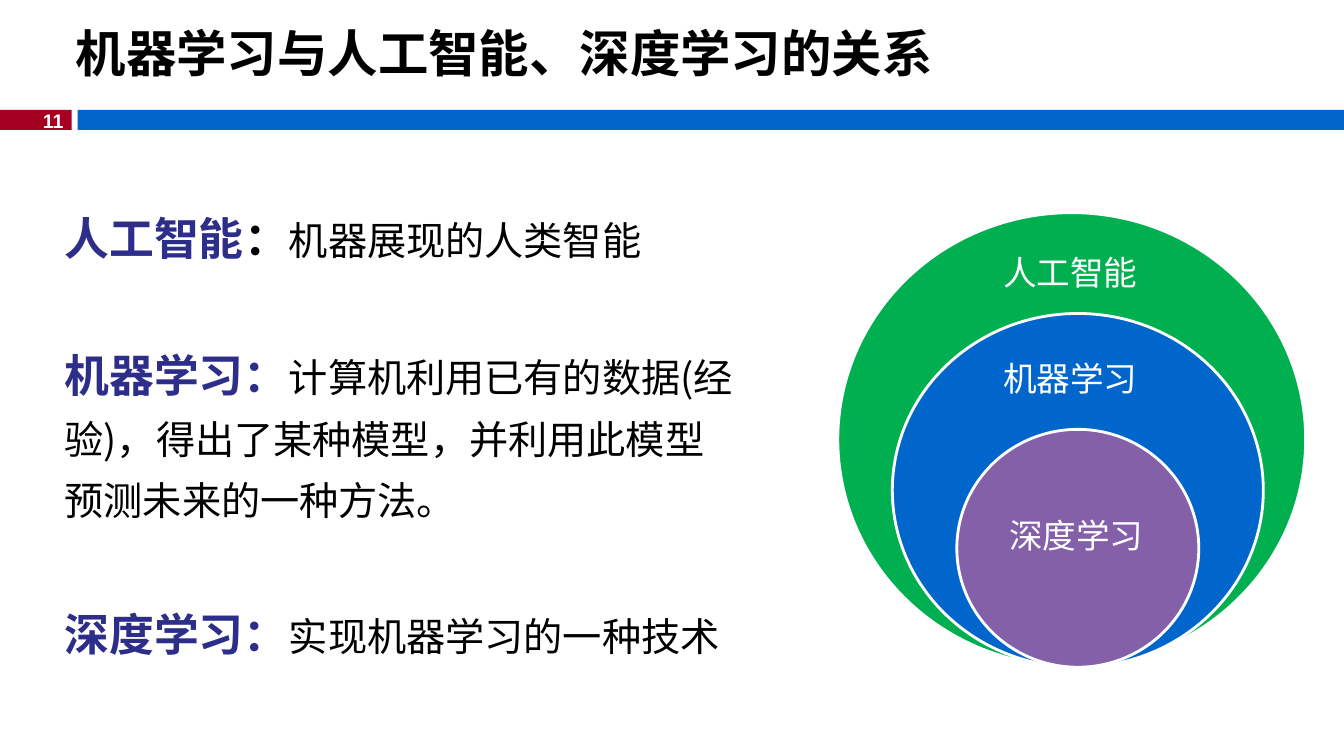
from dataclasses import dataclass

from lxml.etree import SubElement
from pptx import Presentation
from pptx.dml.color import RGBColor
from pptx.enum.shapes import MSO_SHAPE as Shape
from pptx.enum.text import MSO_ANCHOR as Anchor, MSO_AUTO_SIZE as AutoSize, PP_ALIGN as Align
from pptx.oxml.ns import qn
from pptx.util import Inches, Pt

COLORS = {
    "white": "FFFFFF", "black": "000000", "red": "A50021", "blue": "0066CC",
    "navy": "2D2D8A", "green": "00B050", "purple": "8460A8",
}
LATIN, CJK = "Arial", "Noto Sans CJK SC"


@dataclass
class Box:
    left: float
    top: float
    width: float
    height: float


@dataclass
class Bar:
    box: Box
    color: str


@dataclass
class Field:
    name: str
    circle: Box
    color: str
    label: Box


@dataclass
class Definition:
    term: str
    colon_color: str
    meaning: str


BARS = [
    Bar(Box(0, 1.09, 0.71, 0.2), "red"),
    Bar(Box(0.77, 1.09, 12.56, 0.2), "blue"),
]
FIELDS = [
    Field("人工智能", Box(8.31, 2.11, 4.64, 4.5), "green", Box(9.85, 2.45, 1.55, 0.5)),
    Field("机器学习", Box(8.85, 3.11, 3.68, 3.51), "blue", Box(9.85, 3.5, 1.55, 0.5)),
    Field("深度学习", Box(9.49, 4.26, 2.4, 2.36), "purple", Box(9.91, 5.06, 1.55, 0.5)),
]
DEFINITIONS = [
    Definition("人工智能", "black", "机器展现的人类智能"),
    Definition("机器学习", "navy", "计算机利用已有的数据(经验)，得出了某种模型，并利用此模型预测未来的一种方法。"),
    Definition("深度学习", "navy", "实现机器学习的一种技术"),
]


def rgb(color: str) -> RGBColor:
    """Look up a named colour."""
    return RGBColor.from_string(COLORS[color])


def extent(box: Box) -> list:
    """Convert a box to slide lengths."""
    return [Inches(v) for v in (box.left, box.top, box.width, box.height)]


def place(holder, box: Box) -> None:
    """Move a placeholder to a box."""
    holder.left, holder.top, holder.width, holder.height = extent(box)


def style(run, size: int, color: str, bold: bool = False, face: str = CJK) -> None:
    """Format one run, with the CJK face for East Asian text."""
    run.font.size, run.font.bold, run.font.name = Pt(size), bold, face
    run.font.color.rgb = rgb(color)
    SubElement(run.font._element, qn("a:ea")).set("typeface", CJK)


def add_filled(slide, kind, box: Box, color: str):
    """Add a flat shape without outline."""
    shape = slide.shapes.add_shape(kind, *extent(box))
    shape.shadow.inherit = False
    shape.fill.solid()
    shape.fill.fore_color.rgb = rgb(color)
    shape.line.fill.background()
    return shape


def add_label(slide, text: str, box: Box, wrap: bool = True):
    """Add a one-line text box and return its paragraph."""
    frame = slide.shapes.add_textbox(*extent(box)).text_frame
    frame.word_wrap = wrap
    frame.auto_size = AutoSize.SHAPE_TO_FIT_TEXT
    frame.text = text
    return frame.paragraphs[0]


def add_title(slide, text: str) -> None:
    """Fill the title placeholder."""
    title = slide.shapes.title
    place(title, Box(0.65, -0.06, 9.54, 1.92))
    frame = title.text_frame
    frame.text = text
    frame.auto_size = AutoSize.NONE
    frame.vertical_anchor = Anchor.TOP
    frame.margin_top = Inches(0.28)
    heading = frame.paragraphs[0]
    heading.alignment = Align.LEFT
    style(heading.runs[0], 36, "black", True, LATIN)


def add_definitions(slide) -> None:
    """Fill the body placeholder with the three definitions."""
    body = slide.placeholders[1]
    place(body, Box(0.54, 1.88, 6.93, 4.76))
    frame = body.text_frame
    frame.auto_size = AutoSize.SHAPE_TO_FIT_TEXT
    for index, item in enumerate(DEFINITIONS):
        entry = frame.add_paragraph() if index else frame.paragraphs[0]
        entry.line_spacing = 1.3
        entry.space_before = Pt(48 if index else 0)
        props = entry._p.get_or_add_pPr()
        props.set("marL", "0")
        props.set("indent", "0")
        SubElement(props, qn("a:buNone"))
        for text, size, color, bold in (
            (item.term, 32, "navy", True),
            ("：", 32, item.colon_color, True),
            (item.meaning, 28, "black", False),
        ):
            run = entry.add_run()
            run.text = text
            style(run, size, color, bold)


def add_fields(slide) -> None:
    """Draw the nested circles, then their labels."""
    for field in FIELDS:
        circle = add_filled(slide, Shape.OVAL, field.circle, field.color)
        circle.line.color.rgb = rgb("white")
        circle.line.width = Pt(2)
    for field in FIELDS:
        label = add_label(slide, field.name, field.label)
        style(label.runs[0], 24, "white")


def main() -> None:
    """Build and save the slide."""
    deck = Presentation()
    deck.slide_width, deck.slide_height = Inches(13.33), Inches(7.5)
    slide = deck.slides.add_slide(deck.slide_layouts[1])
    for bar in BARS:
        add_filled(slide, Shape.RECTANGLE, bar.box, bar.color)
    number = add_label(slide, "11", Box(0.29, 1.03, 0.44, 0.34), wrap=False)
    number.alignment = Align.RIGHT
    style(number.runs[0], 14, "white", True, LATIN)
    add_title(slide, "机器学习与人工智能、深度学习的关系")
    add_definitions(slide)
    add_fields(slide)
    deck.save("out.pptx")


if __name__ == "__main__":
    main()
